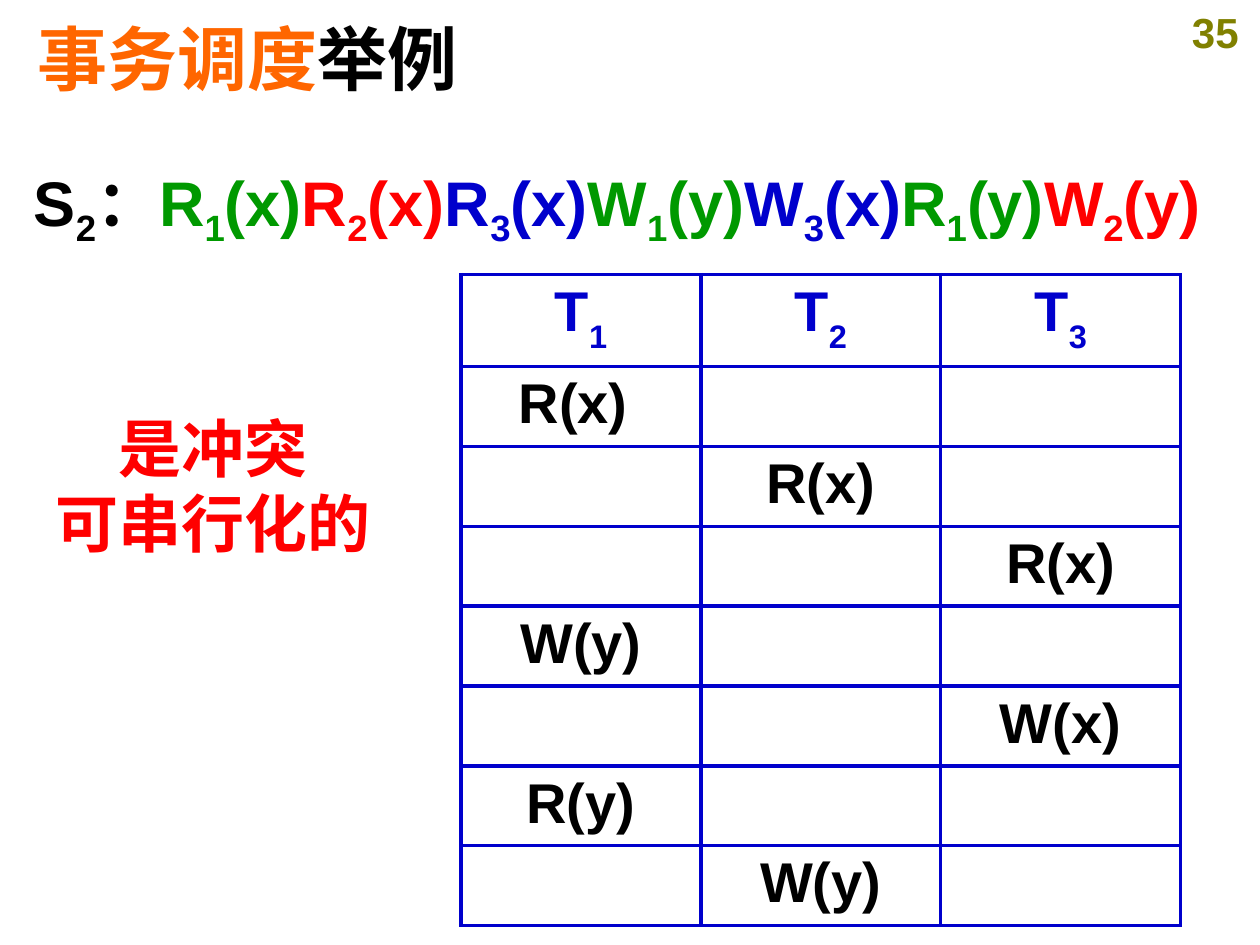
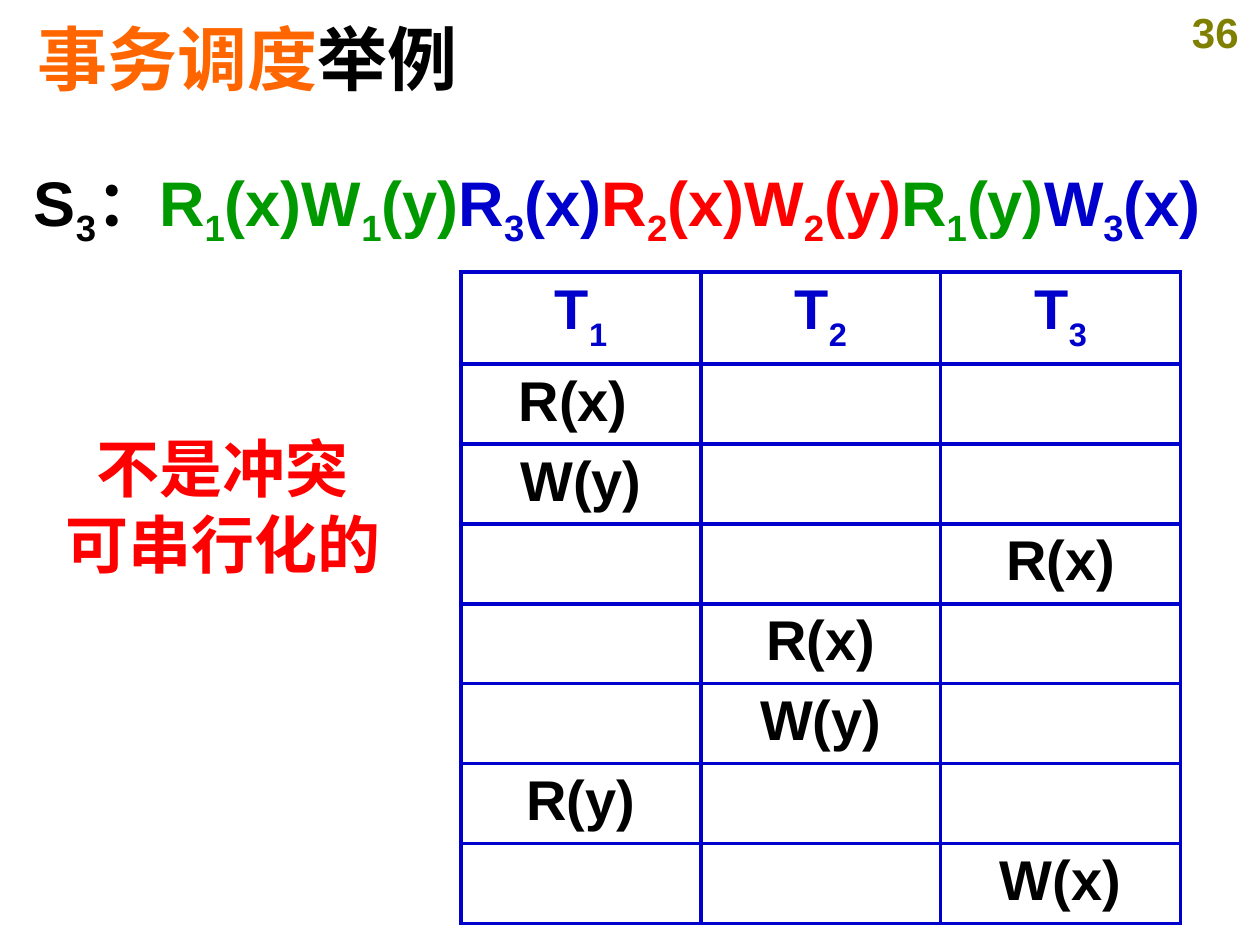
from lxml.etree import SubElement as Sub
from pptx import Presentation
from pptx.dml.color import RGBColor as Rgb
from pptx.enum.text import MSO_ANCHOR as Anchor, PP_ALIGN as Align
from pptx.oxml.ns import qn
from pptx.util import Inches, Pt

HUES = {"black": "000000", "white": "FFFFFF", "orange": "FF6600", "olive": "808000",
        "green": "009900", "red": "FF0000", "blue": "0000CC"}
TINTS = {"1": "green", "2": "red", "3": "blue"}
FONT = "Arial"

deck = Presentation()
deck.slide_width = Inches(10)
deck.slide_height = Inches(7.5)
UNIT = deck.slide_width / 100
BASE = 73.2

PLANS = [
    {"page": "35", "name": "2", "top": 21.8, "head": 7.1, "spot": (3.4, 32),
     "note": ["是冲突", "可串行化的"],
     "steps": ["R1x", "R2x", "R3x", "W1y", "W3x", "R1y", "W2y"]},
    {"page": "36", "name": "3", "top": 21.6, "head": 7.2, "spot": (4.2, 33.6),
     "note": ["不是冲突", "可串行化的"],
     "steps": ["R1x", "W1y", "R3x", "R2x", "W2y", "R1y", "W3x"]},
]


def write(para, size, parts, align=Align.LEFT, drop=-25):
    para.alignment = align
    font = para.font
    font.name, font.size, font.bold = FONT, Pt(size), True
    for text, hue, low in parts:
        run = para.add_run()
        run.text = text
        run.font.color.rgb = Rgb.from_string(HUES[hue])
        if low:
            run.font._element.set("baseline", str(drop * 1000))


def place(slide, left, top, wide, high, wrap=True):
    area = [round(n * UNIT) for n in (left, top, wide, high)]
    frame = slide.shapes.add_textbox(*area).text_frame
    frame.word_wrap = wrap
    return frame


for plan in PLANS:
    slide = deck.slides.add_slide(deck.slide_layouts[6])

    page = place(slide, 92.9, 0, 7.1, 5)
    write(page.paragraphs[0], 24, [(plan["page"], "olive", False)], Align.CENTER)

    title = place(slide, 2, 0.8, 95, 7.6)
    title.vertical_anchor = Anchor.MIDDLE
    write(title.paragraphs[0], 40, [("事务调度", "orange", False), ("举例", "black", False)])

    parts = [("S", "black", False), (plan["name"], "black", True), ("：", "black", False)]
    for act, num, item in plan["steps"]:
        hue = TINTS[num]
        parts += [(act, hue, False), (num, hue, True), (f"({item})", hue, False)]
    line = place(slide, 1.7, 11.1, 98.3, 9.1).paragraphs[0]
    line.line_spacing = 1.2
    props = line._p.get_or_add_pPr()
    props.set("marL", str(Inches(0.39)))
    props.set("indent", str(-Inches(0.39)))
    write(line, 36, parts)

    count = len(plan["steps"])
    high = BASE - plan["top"]
    area = [round(n * UNIT) for n in (36.6, plan["top"], 57.1, high)]
    grid = slide.shapes.add_table(count + 1, len(TINTS), *area).table
    grid.first_row = grid.horz_banding = False
    for col in grid.columns:
        col.width = round(57.1 / len(TINTS) * UNIT)
    for row in grid.rows:
        row.height = round((high - plan["head"]) / count * UNIT)
    grid.rows[0].height = round(plan["head"] * UNIT)

    for cell in grid.iter_cells():
        edges = cell._tc.get_or_add_tcPr()
        for side in ("lnL", "lnR", "lnT", "lnB"):
            edge = Sub(edges, qn(f"a:{side}"), w=str(Pt(2.25)))
            Sub(Sub(edge, qn("a:solidFill")), qn("a:srgbClr"), val=HUES["blue"])
        cell.fill.solid()
        cell.fill.fore_color.rgb = Rgb.from_string(HUES["white"])

    for col, num in enumerate(TINTS):
        para = grid.cell(0, col).text_frame.paragraphs[0]
        write(para, 32, [("T", "blue", False), (num, "blue", True)], Align.CENTER, -30)
    for row, (act, num, item) in enumerate(plan["steps"], 1):
        tail = " " if row == 1 else ""
        para = grid.cell(row, int(num) - 1).text_frame.paragraphs[0]
        write(para, 32, [(f"{act}({item}){tail}", "black", False)], Align.CENTER)

    note = place(slide, *plan["spot"], 27, 13, wrap=False)
    for row, text in enumerate(plan["note"]):
        para = note.add_paragraph() if row else note.paragraphs[0]
        write(para, 36, [(text, "red", False)], Align.CENTER)

deck.save("out.pptx")
